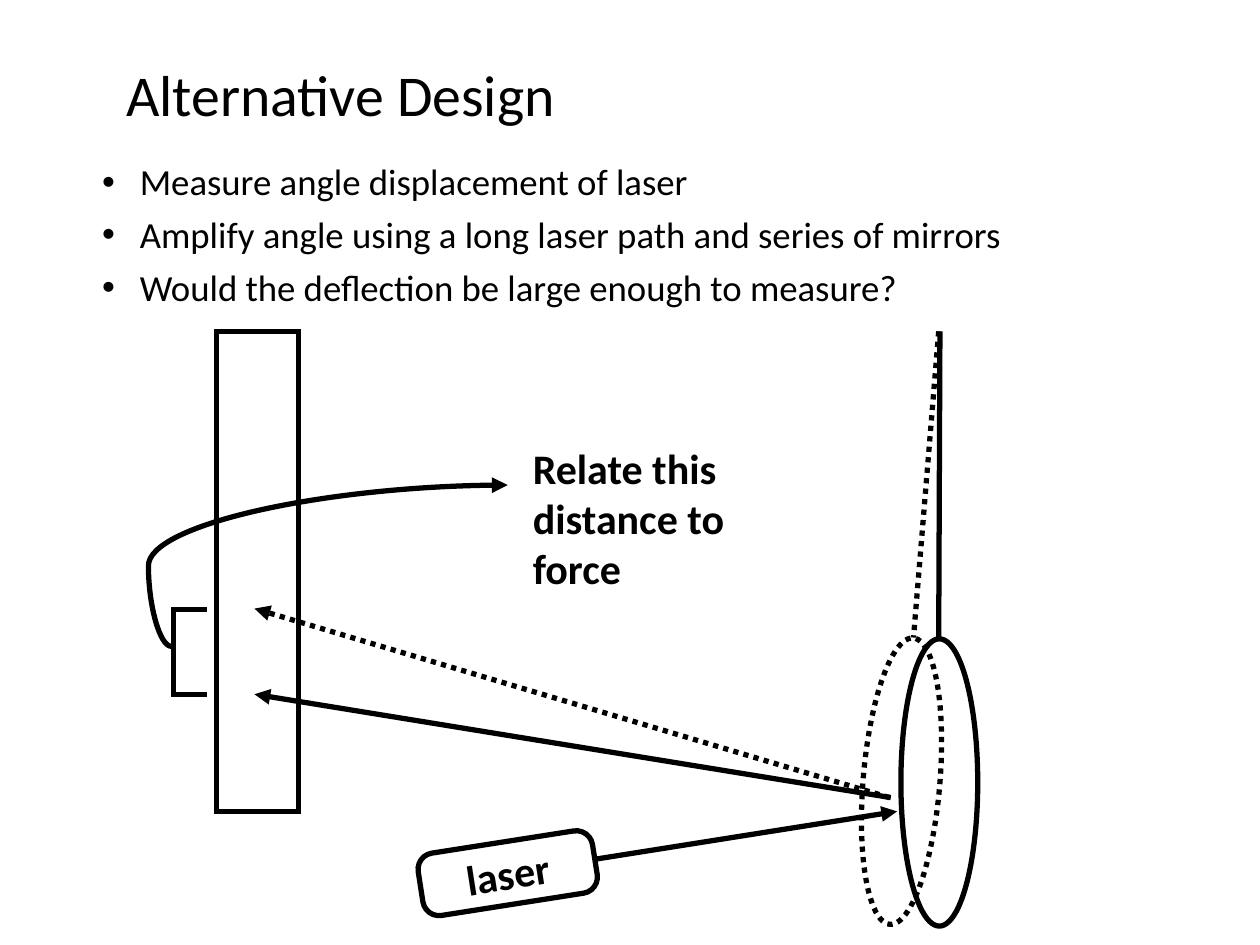
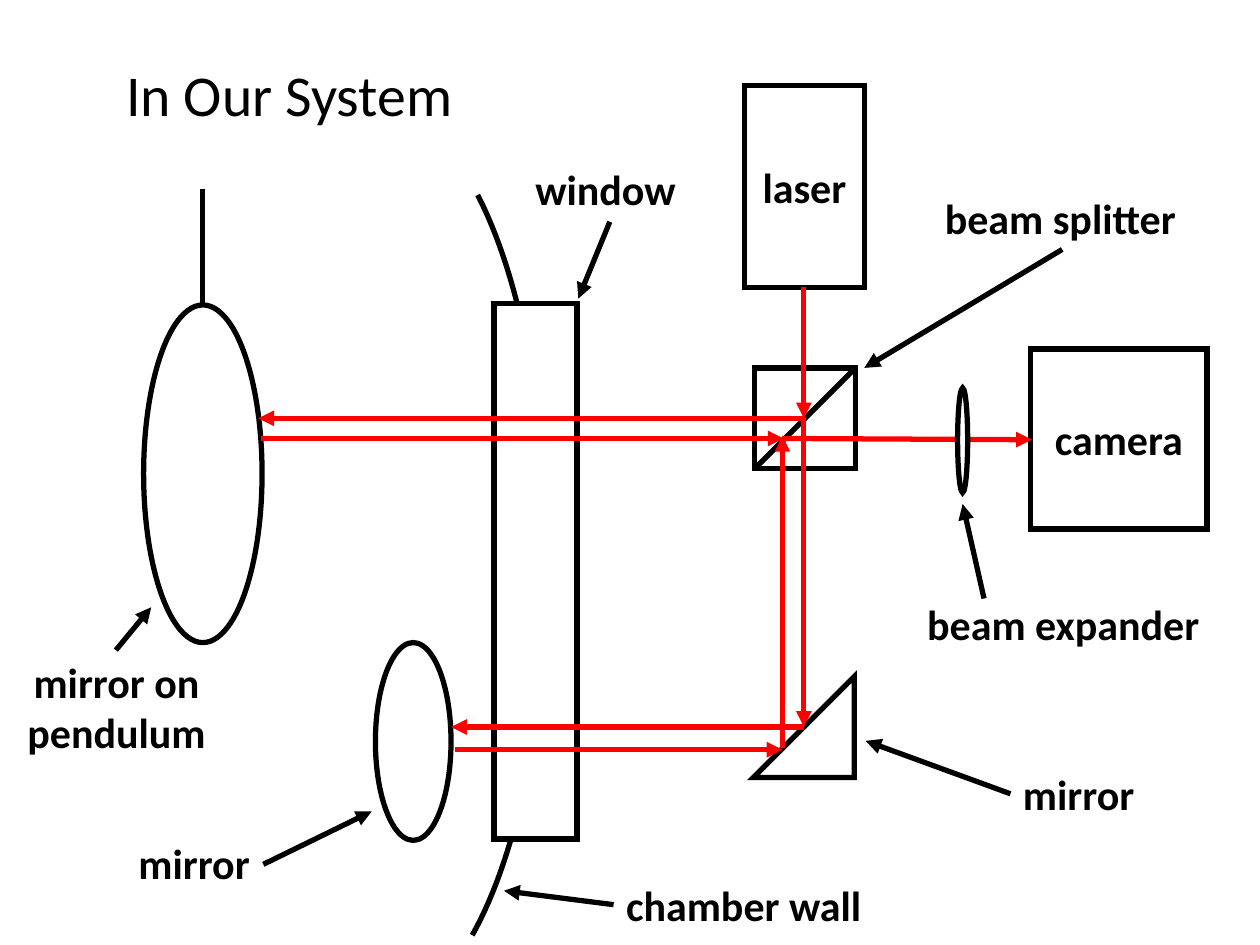
from lxml import etree
from pptx import Presentation
from pptx import util as u
from pptx.dml.color import RGBColor
from pptx.enum import dml, shapes, text
from pptx.oxml.ns import qn

PX = 9144  # EMU per px, 100 px to the inch
FONT = "Calibri"
BLACK = RGBColor(0, 0, 0)
WHITE = RGBColor(255, 255, 255)
RED = RGBColor(255, 0, 0)
TITLE_BOX = [n * PX for n in (90, 31, 825, 94)]
KIND = shapes.MSO_SHAPE
LINE = shapes.MSO_CONNECTOR
CENTER = text.PP_ALIGN.CENTER


def write(frame, words, size=24, bold=True, align=text.PP_ALIGN.LEFT,
          anchor=text.MSO_ANCHOR.TOP, wrap=True, spacing=None, before=None):
    """Fill a text frame, one paragraph for each line of words."""
    frame.auto_size = text.MSO_AUTO_SIZE.NONE
    frame.word_wrap = wrap
    frame.vertical_anchor = anchor
    frame.text = words
    for para in frame.paragraphs:
        para.alignment = align
        para.line_spacing = spacing
        para.space_before = before
        font = para.runs[0].font
        font.name, font.size, font.bold = FONT, u.Pt(size), bold
        font.color.rgb = BLACK


def stroke(item, color=BLACK, dotted=False, arrow=False):
    """Give a shape or connector its outline, without a shadow."""
    item.line.color.rgb = color
    item.line.width = u.Pt(3)
    if dotted:
        item.line.dash_style = dml.MSO_LINE.ROUND_DOT
    outline = item.line._get_or_add_ln()
    etree.SubElement(outline, qn("a:miter"), lim="800000")
    if arrow:
        etree.SubElement(outline, qn("a:tailEnd"), type="triangle")
    etree.SubElement(item._element.spPr, qn("a:effectLst"))


deck = Presentation()
deck.slide_width, deck.slide_height = 1000 * PX, 750 * PX

# Pages and titles
pages = []
for title, layout in (("Alternative Design", 1), ("In Our System", 5)):
    page = deck.slides.add_slide(deck.slide_layouts[layout])
    box = page.shapes.title
    box.left, box.top, box.width, box.height = TITLE_BOX
    write(box.text_frame, title, size=33, bold=False, spacing=0.9,
          anchor=text.MSO_ANCHOR.MIDDLE)
    pages.append(page)
design, system = pages

# Bullets on the design page
body = design.placeholders[1]
body.left, body.top, body.width, body.height = [n * PX for n in (71, 125, 862, 476)]
write(body.text_frame,
      "Measure angle displacement of laser\n"
      "Amplify angle using a long laser path and series of mirrors\n"
      "Would the deflection be large enough to measure?",
      size=21, bold=False, spacing=0.9, before=u.Pt(7.5))
for para in body.text_frame.paragraphs:
    props = para._p.get_or_add_pPr()
    props.set("marL", str(30 * PX))
    props.set("indent", str(-30 * PX))

# Outlined parts: page, kind, box, fill, format
parts = [
    (design, KIND.OVAL, (685, 506, 61, 228), WHITE, dict(turn=4.7, dotted=True)),
    (design, KIND.OVAL, (715, 507, 61, 228), None, {}),
    (design, KIND.ROUNDED_RECTANGLE, (333, 668, 140, 50), None,
     dict(turn=351.1, adjust=[0.259], label="laser")),
    (design, KIND.RECTANGLE, (172, 263, 65, 381), None, {}),
    # Chamber wall angles: adjustments are in units of 5/3 degree
    (system, KIND.ARC, (173, 89, 261, 711), None, dict(adjust=[284.62 * 0.6, 76.53 * 0.6])),
    (system, KIND.RECTANGLE, (392, 241, 66, 425), WHITE, {}),
    (system, KIND.OVAL, (114, 242, 94, 268), WHITE, {}),
    (system, KIND.OVAL, (298, 510, 60, 157), WHITE, {}),
    (system, KIND.RECTANGLE, (591, 68, 95, 160), WHITE, dict(label="laser")),
    (system, KIND.RECTANGLE, (599, 292, 80, 80), WHITE, {}),
    (system, KIND.ISOSCELES_TRIANGLE, (598, 537, 80, 80), WHITE, dict(adjust=[1])),
    (system, KIND.RECTANGLE, (818, 277, 140, 143), WHITE, dict(label="camera")),
]
for page, kind, place, fill, extra in parts:
    part = page.shapes.add_shape(kind, *[n * PX for n in place])
    part.rotation = extra.get("turn", 0)
    for index, value in enumerate(extra.get("adjust", [])):
        part.adjustments[index] = value
    if fill is None:
        part.fill.background()
    else:
        part.fill.solid()
        part.fill.fore_color.rgb = fill
    stroke(part, dotted=extra.get("dotted", False))
    if "label" in extra:
        write(part.text_frame, extra["label"], align=CENTER, wrap=False,
              anchor=text.MSO_ANCHOR.MIDDLE)

# Straight lines, grouped by format: page, format, (from x, from y, to x, to y)
line_groups = [
    # Pendulum threads, laser rays and distance bracket
    (design, dict(dotted=True), [(745, 263, 725, 506)]),
    (design, {}, [(746, 263, 745, 507), (138, 483, 138, 551),
                  (136, 484, 164, 484), (136, 551, 164, 551)]),
    (design, dict(arrow=True), [(472, 682, 712, 644), (707, 633, 202, 551)]),
    (design, dict(dotted=True, arrow=True), [(706, 633, 202, 483)]),
    # Pendulum thread and splitter diagonal
    (system, {}, [(161, 150, 161, 242), (679, 292, 599, 372)]),
    # Laser beam, leg by leg
    (system, dict(color=RED, arrow=True), [
        (638, 228, 638, 332), (638, 332, 205, 332), (207, 348, 622, 348),
        (638, 332, 638, 577), (638, 577, 358, 577), (361, 595, 621, 595),
        (621, 594, 621, 346), (621, 348, 819, 349)]),
    # Label pointers
    (system, dict(arrow=True), [
        (802, 630, 687, 588), (843, 198, 686, 292), (487, 718, 400, 707),
        (484, 176, 459, 237), (209, 686, 295, 644), (92, 516, 120, 482),
        (781, 475, 764, 400)]),
]
for page, style, ends in line_groups:
    for end in ends:
        stroke(page.shapes.add_connector(LINE.STRAIGHT, *[n * PX for n in end]), **style)

# Curved arrow from the bracket to its note
curve = design.shapes.add_connector(LINE.CURVE, *[n * PX for n in (136, 513, 403, 385)])
guides = curve._element.spPr.find(qn("a:prstGeom")).get_or_add_avLst()
etree.SubElement(guides, qn("a:gd"), name="adj1", fmla="val -6800")
stroke(curve, arrow=True)

# Beam expander, in front of the beam
expander = system.shapes.add_shape(KIND.OVAL, *[n * PX for n in (760, 308, 8, 83)])
expander.fill.solid()
expander.fill.fore_color.rgb = WHITE
stroke(expander)

# Labels
labels = [
    (design, "Relate this distance to force", (413, 346, 232, 131), dict(wrap=True)),
    (system, "beam splitter", (740, 148, 206, 50), {}),
    (system, "mirror", (802, 605, 109, 50), {}),
    (system, "chamber wall", (487, 693, 209, 50), {}),
    (system, "window", (415, 125, 138, 50), dict(wrap=True)),
    (system, "mirror", (100, 660, 109, 50), {}),
    (system, "mirror on pendulum", (10, 516, 165, 91), dict(wrap=True, align=CENTER)),
    (system, "beam expander", (726, 470, 238, 50), {}),
]
for page, words, place, style in labels:
    box = page.shapes.add_textbox(*[n * PX for n in place])
    write(box.text_frame, words, **{"wrap": False, **style})

deck.save("out.pptx")
